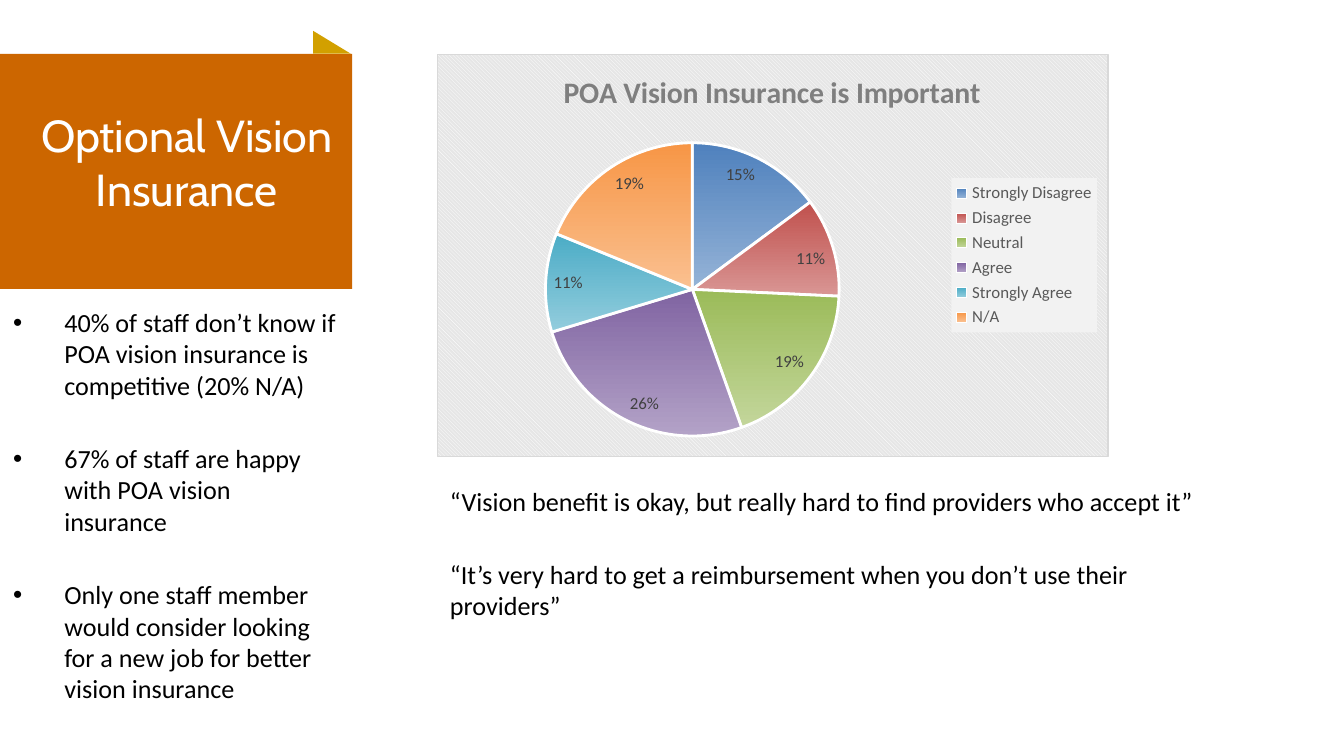
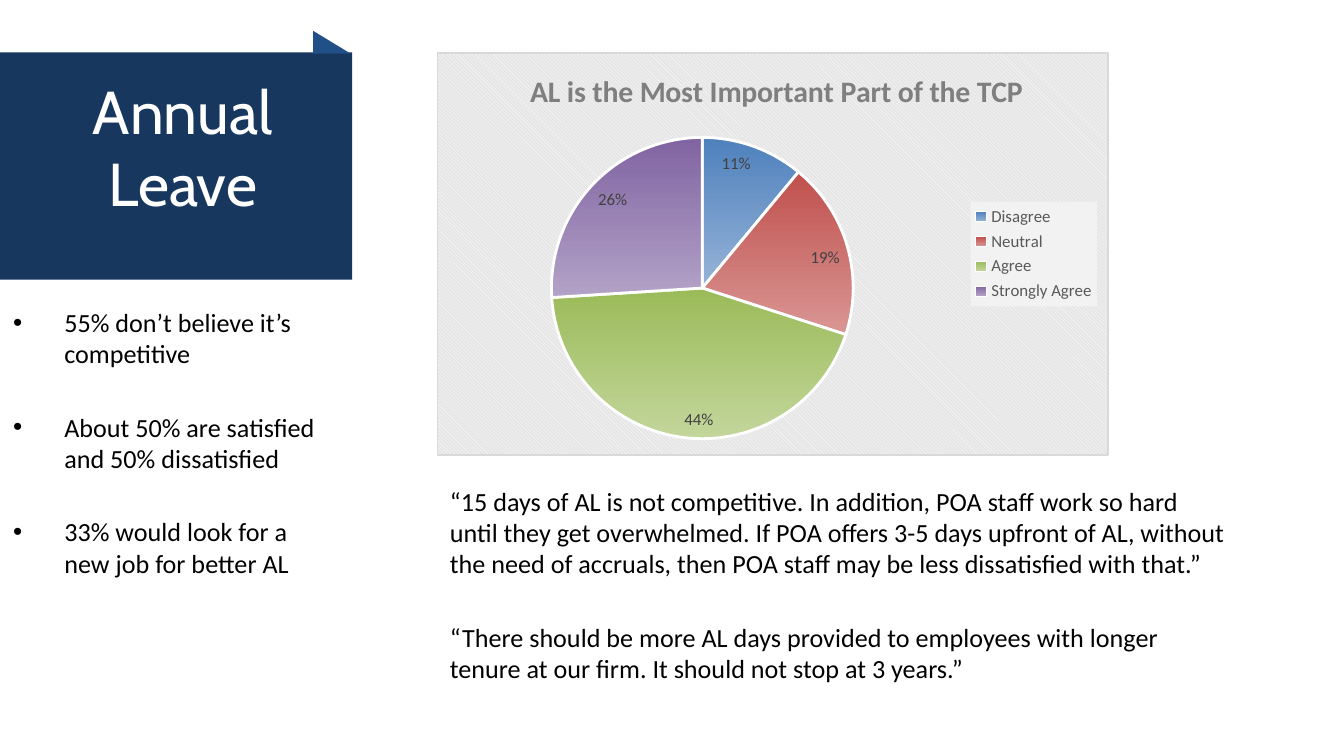
from dataclasses import dataclass
from typing import Any

from lxml.etree import SubElement
from pptx import Presentation
from pptx.chart.data import CategoryChartData
from pptx.dml.color import RGBColor
from pptx.enum.chart import XL_CHART_TYPE, XL_LABEL_POSITION, XL_LEGEND_POSITION
from pptx.enum.shapes import MSO_SHAPE
from pptx.enum.text import MSO_ANCHOR, PP_ALIGN
from pptx.oxml import parse_xml
from pptx.oxml.ns import nsdecls, qn
from pptx.util import Inches, Pt

CELL = Inches(0.1)  # the slide is a grid of 100 columns by 56.25 rows
COLS, ROWS = 100, 56.25

COLORS = {
    "white": "FFFFFF", "black": "000000",
    "orange": "CC6600", "gold": "D2A000",
    "navy": "17375E", "blue": "214F87",
    "title": "7F7F7F", "legend": "595959", "label": "404040",
    "panel": "E6E6E6", "edge": "D9D9D9", "key": "F2F2F2",
}
SLICES = [
    ("4F81BD", "95B3D7"), ("C0504D", "D99694"), ("9BBB59", "C3D69B"),
    ("8064A2", "B3A2C7"), ("4BACC6", "93CDDD"), ("F79646", "FAC090"),
]
HEAD, BODY = "Cabin", "Calibri"


@dataclass(frozen=True)
class Box:
    """A place on the grid, in columns and rows."""
    col: float
    row: float
    wide: float
    high: float

    def place(self) -> tuple[int, ...]:
        return tuple(round(n * CELL) for n in (self.col, self.row, self.wide, self.high))


@dataclass(frozen=True)
class Pie:
    title: str
    votes: dict[str, int]
    box: Box
    head: tuple[float, float]  # title corner, as shares of the chart
    plot: tuple[float, float, float, float]  # pie frame, as shares of the chart


@dataclass(frozen=True)
class Topic:
    title: str
    size: float
    name: Box
    band: Box
    fill: str
    fold: str
    points: list[str]
    quotes: list[str]
    pie: Pie


FOLD = Box(23.3, 2.3, 2.8, 1.7)
POINTS = Box(0, 22.3, 26.2, 35.5)
QUOTES = Box(32.5, 35.6, 60, 19.2)

TOPICS = [
    Topic(
        "Optional Vision Insurance", 24,
        Box(0.7, 7.3, 26.4, 9.4), Box(0, 4, 26.2, 17.5), "orange", "gold",
        [
            "40% of staff don’t know if POA vision insurance is competitive (20% N/A)",
            "67% of staff are happy with POA vision insurance",
            "Only one staff member would consider looking for a new job for better vision insurance",
        ],
        [
            "“Vision benefit is okay, but really hard to find providers who accept it”",
            "“It’s very hard to get a reimbursement when you don’t use their providers”",
        ],
        Pie(
            "POA Vision Insurance is Important",
            {"Strongly Disagree": 15, "Disagree": 11, "Neutral": 19,
             "Agree": 26, "Strongly Agree": 11, "N/A": 19},
            Box(32.5, 4, 50, 30), (0.18, 0.03), (0.16, 0.22, 0.44, 0.73),
        ),
    ),
    Topic(
        "Annual Leave", 32.4,
        Box(1.4, 6.2, 24.4, 9.4), Box(0, 3.9, 26.2, 16.9), "navy", "blue",
        [
            "55% don’t believe it’s competitive",
            "About 50% are satisfied and 50% dissatisfied",
            "33% would look for a new job for better AL",
        ],
        [
            "“15 days of AL is not competitive. In addition, POA staff work so hard until "
            "they get overwhelmed. If POA offers 3-5 days upfront of AL, without the need "
            "of accruals, then POA staff may be less dissatisfied with that.”",
            "“There should be more AL days provided to employees with longer tenure at "
            "our firm. It should not stop at 3 years.”",
        ],
        Pie(
            "AL is the Most Important Part of the TCP",
            {"Disagree": 11, "Neutral": 19, "Agree": 44, "Strongly Agree": 26},
            Box(32.5, 3.9, 50, 30), (0.13, 0.03), (0.17, 0.21, 0.45, 0.75),
        ),
    ),
]


def tint(name: str) -> RGBColor:
    return RGBColor.from_string(COLORS[name])


def style(font: Any, face: str, size: float, color: str, bold: bool = False) -> None:
    font.name, font.size, font.bold = face, Pt(size), bold
    font.color.rgb = tint(color)


def add_block(slide: Any, kind: MSO_SHAPE, box: Box, color: str) -> None:
    shape = slide.shapes.add_shape(kind, *box.place())
    shape.shadow.inherit = False
    shape.fill.solid()
    shape.fill.fore_color.rgb = tint(color)
    shape.line.fill.background()


def add_title(slide: Any, topic: Topic) -> None:
    frame = slide.shapes.add_textbox(*topic.name.place()).text_frame
    frame.word_wrap = True
    frame.vertical_anchor = MSO_ANCHOR.MIDDLE
    para = frame.paragraphs[0]
    para.text = topic.title
    para.alignment = PP_ALIGN.CENTER
    style(para.font, HEAD, topic.size, "white")


def add_list(slide: Any, box: Box, lines: list[str], dots: bool = False) -> None:
    frame = slide.shapes.add_textbox(*box.place()).text_frame
    frame.word_wrap = True
    for num, line in enumerate(lines):
        para = frame.add_paragraph() if num else frame.paragraphs[0]
        para.text = line
        if dots:
            props = para._p.get_or_add_pPr()
            props.set("marL", str(Inches(0.38)))
            props.set("indent", str(-Inches(0.38)))
            SubElement(props, qn("a:buFont"), typeface="Arial")
            SubElement(props, qn("a:buChar"), char="•")
        if num:
            para.space_before = Pt(22.5)
        style(para.font, BODY, 14, "black")


def set_frame(part: Any, shares: tuple[float, ...], inner: bool = False) -> None:
    """Pin a chart part at shares of the chart's size."""
    layout = part.find(qn("c:layout"))
    if layout is None:
        layout = parse_xml(f"<c:layout {nsdecls('c')}/>")
        spot = 1 if part.find(qn("c:tx")) is not None else 0
        part.insert(spot, layout)
    for child in list(layout):
        layout.remove(child)
    manual = SubElement(layout, qn("c:manualLayout"))
    if inner:
        SubElement(manual, qn("c:layoutTarget"), val="inner")
    for key in ("xMode", "yMode"):
        SubElement(manual, qn(f"c:{key}"), val="edge")
    for key, share in zip("xywh", shares):
        SubElement(manual, qn(f"c:{key}"), val=str(share))


def fill_panel(chart: Any) -> None:
    """Give the chart its hatched ground and thin edge."""
    panel = parse_xml(
        f"<c:spPr {nsdecls('c', 'a')}><a:pattFill prst='dkDnDiag'>"
        f"<a:fgClr><a:srgbClr val='{COLORS['white']}'/></a:fgClr>"
        f"<a:bgClr><a:srgbClr val='{COLORS['panel']}'/></a:bgClr></a:pattFill>"
        f"<a:ln w='{Pt(0.75)}'><a:solidFill><a:srgbClr val='{COLORS['edge']}'/>"
        "</a:solidFill></a:ln></c:spPr>"
    )
    chart._chartSpace.find(qn("c:chart")).addnext(panel)


def add_legend(chart: Any) -> None:
    chart.has_legend = True
    legend = chart.legend
    legend.position = XL_LEGEND_POSITION.RIGHT
    legend.include_in_layout = False
    style(legend.font, BODY, 9, "legend")
    ground = parse_xml(
        f"<c:spPr {nsdecls('c', 'a')}><a:solidFill>"
        f"<a:srgbClr val='{COLORS['key']}'/></a:solidFill></c:spPr>"
    )
    legend._element.find(qn("c:txPr")).addprevious(ground)


def add_pie(slide: Any, pie: Pie) -> None:
    data = CategoryChartData()
    data.categories = list(pie.votes)
    data.add_series("Series 1", list(pie.votes.values()))
    chart = slide.shapes.add_chart(XL_CHART_TYPE.PIE, *pie.box.place(), data).chart
    style(chart.font, BODY, 10, "black")
    fill_panel(chart)

    chart.has_title = True
    para = chart.chart_title.text_frame.paragraphs[0]
    para.text = pie.title
    style(para.font, BODY, 16, "title", bold=True)
    set_frame(chart.chart_title._element, pie.head)
    add_legend(chart)

    plot = chart.plots[0]
    plot.vary_by_categories = True
    set_frame(chart._chartSpace.chart.plotArea, pie.plot, inner=True)
    plot.has_data_labels = True
    labels = plot.data_labels
    labels.show_percentage, labels.show_value = True, False
    labels.number_format, labels.number_format_is_linked = "0%", False
    labels.position = XL_LABEL_POSITION.INSIDE_END
    style(labels.font, BODY, 9, "label")

    for num, pair in enumerate(SLICES[:len(pie.votes)]):
        look = plot.series[0].points[num].format
        look.fill.gradient()
        look.fill.gradient_angle = 270
        for stop, code in zip(look.fill.gradient_stops, pair):
            stop.color.rgb = RGBColor.from_string(code)
        look.line.color.rgb = tint("white")
        look.line.width = Pt(1.5)


def add_topic(deck: Any, topic: Topic) -> None:
    slide = deck.slides.add_slide(deck.slide_layouts[6])
    add_block(slide, MSO_SHAPE.RECTANGLE, topic.band, topic.fill)
    add_title(slide, topic)
    add_block(slide, MSO_SHAPE.RIGHT_TRIANGLE, FOLD, topic.fold)
    add_list(slide, POINTS, topic.points, dots=True)
    add_list(slide, QUOTES, topic.quotes)
    add_pie(slide, topic.pie)


def main() -> None:
    deck = Presentation()
    deck.slide_width, deck.slide_height = round(COLS * CELL), round(ROWS * CELL)
    for topic in TOPICS:
        add_topic(deck, topic)
    deck.save("out.pptx")


if __name__ == "__main__":
    main()
